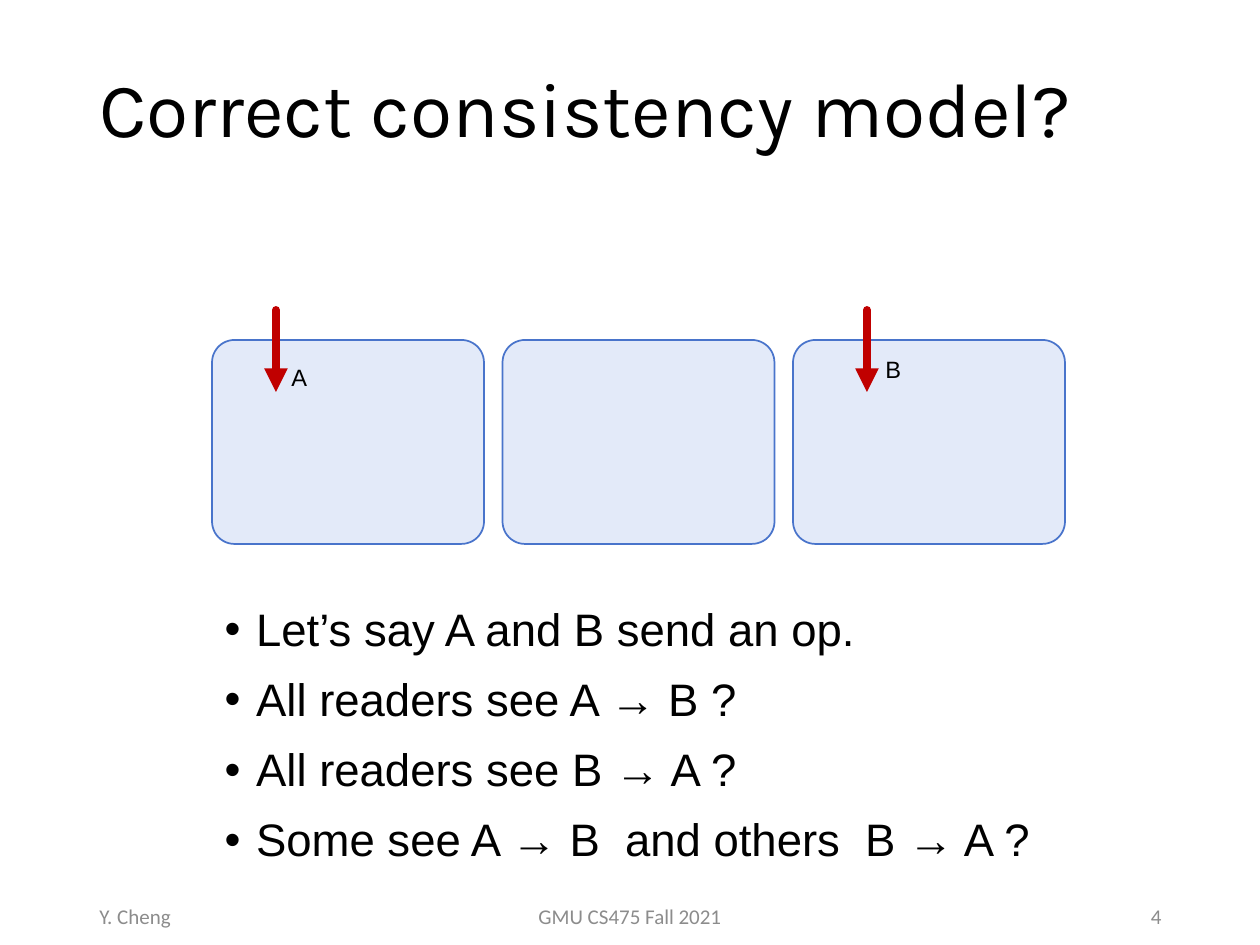
import pptx
import pptx.util
from pptx.dml.color import RGBColor
from pptx.enum.shapes import MSO_CONNECTOR, MSO_SHAPE
from pptx.enum.text import MSO_ANCHOR, MSO_AUTO_SIZE, PP_ALIGN
from pptx.oxml.ns import qn
from lxml import etree

COLORS = {"text": "000000", "footer": "8C8C8C", "replica": "E3EAF9",
          "border": "4974CB", "arrow": "C00000"}

TITLE = "Correct consistency model?"
BULLETS = [
    "Let’s say A and B send an op.",
    "All readers see A → B ?",
    "All readers see B → A ?",
    "Some see A → B  and others  B → A ?",
]
# text, left, width, alignment
FOOTERS = [
    ("Y. Cheng", 87, 284, PP_ALIGN.LEFT),
    ("GMU CS475 Fall 2021", 417, 426, PP_ALIGN.CENTER),
    ("4", 890, 284, PP_ALIGN.RIGHT),
]
# name, arrow x, label left, label top
OPERATIONS = [("A", 276, 279, 357), ("B", 867, 873, 349)]

SCALE = 914400 / 126
REPLICA_COUNT = 3
REPLICA_LEFT, REPLICA_TOP, REPLICA_W, REPLICA_H = 212, 340, 272, 204
REPLICA_STEP = 290.5
ARROW_TOP, ARROW_BOTTOM = 310, 392

FORMATS = {
    "title": {"size": 44, "name": "Karla", "color": "text"},
    "body": {"size": 26, "name": "Arial", "color": "text"},
    "label": {"size": 13.5, "name": "Arial", "color": "text"},
    "footer": {"size": 12, "name": "Calibri", "color": "footer"},
}


def px(n):
    return pptx.util.Emu(round(n * SCALE))


def rgb(key):
    return RGBColor.from_string(COLORS[key])


def place(sp, *box):
    for attr, value in zip(("left", "top", "width", "height"), box):
        setattr(sp, attr, px(value))


def write(p, text, style, **paragraph):
    for attr, value in paragraph.items():
        setattr(p, attr, value)
    r = p.add_run()
    r.text = text
    fmt = FORMATS[style]
    r.font.size, r.font.name = pptx.util.Pt(fmt["size"]), fmt["name"]
    r.font.color.rgb = rgb(fmt["color"])


def add_bullet(p):
    pPr = p._p.get_or_add_pPr()
    pPr.set("marL", "228600")
    pPr.set("indent", "-228600")
    etree.SubElement(pPr, qn("a:buFont")).set("typeface", "Arial")
    etree.SubElement(pPr, qn("a:buChar")).set("char", "•")


def add_title(s):
    sp = s.shapes.title
    place(sp, 87, 21, 1086, 183)
    tf = sp.text_frame
    tf.auto_size, tf.vertical_anchor = MSO_AUTO_SIZE.NONE, MSO_ANCHOR.MIDDLE
    write(tf.paragraphs[0], TITLE, "title", alignment=PP_ALIGN.LEFT, line_spacing=0.9)


def add_body(s):
    sp = s.placeholders[1]
    place(sp, 212, 601, 853, 312)
    tf = sp.text_frame
    tf.auto_size = MSO_AUTO_SIZE.NONE
    gap = pptx.util.Pt(6)
    for i, text in enumerate(BULLETS):
        p = tf.add_paragraph() if i else tf.paragraphs[0]
        add_bullet(p)
        write(p, text, "body", line_spacing=0.9, space_after=gap,
              space_before=gap if i else pptx.util.Pt(0))


def add_replica(s, left):
    sp = s.shapes.add_shape(MSO_SHAPE.ROUNDED_RECTANGLE, px(left), px(REPLICA_TOP),
                            px(REPLICA_W), px(REPLICA_H))
    sp.adjustments[0] = 0.11
    sp.shadow.inherit = False
    sp.fill.solid()
    sp.fill.fore_color.rgb = rgb("replica")
    sp.line.color.rgb = rgb("border")
    sp.line.width = pptx.util.Pt(1)


def add_arrow(s, x):
    cx = s.shapes.add_connector(MSO_CONNECTOR.STRAIGHT, px(x), px(ARROW_TOP),
                                px(x), px(ARROW_BOTTOM))
    cx.line.color.rgb = rgb("arrow")
    cx.line.width = pptx.util.Pt(4.5)
    ln = cx.line._get_or_add_ln()
    ln.set("cap", "rnd")
    etree.SubElement(ln, qn("a:tailEnd")).set("type", "triangle")
    etree.SubElement(cx._element.spPr, qn("a:effectLst"))


def add_text(s, text, style, box, anchor=MSO_ANCHOR.TOP, align=PP_ALIGN.LEFT):
    tf = s.shapes.add_textbox(*map(px, box)).text_frame
    tf.word_wrap, tf.vertical_anchor = True, anchor
    write(tf.paragraphs[0], text, style, alignment=align)


def main():
    prs = pptx.Presentation()
    prs.slide_width, prs.slide_height = px(1260), px(945)
    s = prs.slides.add_slide(prs.slide_layouts[1])
    add_title(s)
    add_body(s)
    for i in range(REPLICA_COUNT):
        add_replica(s, REPLICA_LEFT + i * REPLICA_STEP)
    for name, x, left, top in OPERATIONS:
        add_arrow(s, x)
        add_text(s, name, "label", (left, top, 55, 55))
    for text, left, width, align in FOOTERS:
        add_text(s, text, "footer", (left, 891, width, 50), MSO_ANCHOR.MIDDLE, align)
    prs.save("out.pptx")


if __name__ == "__main__":
    main()
